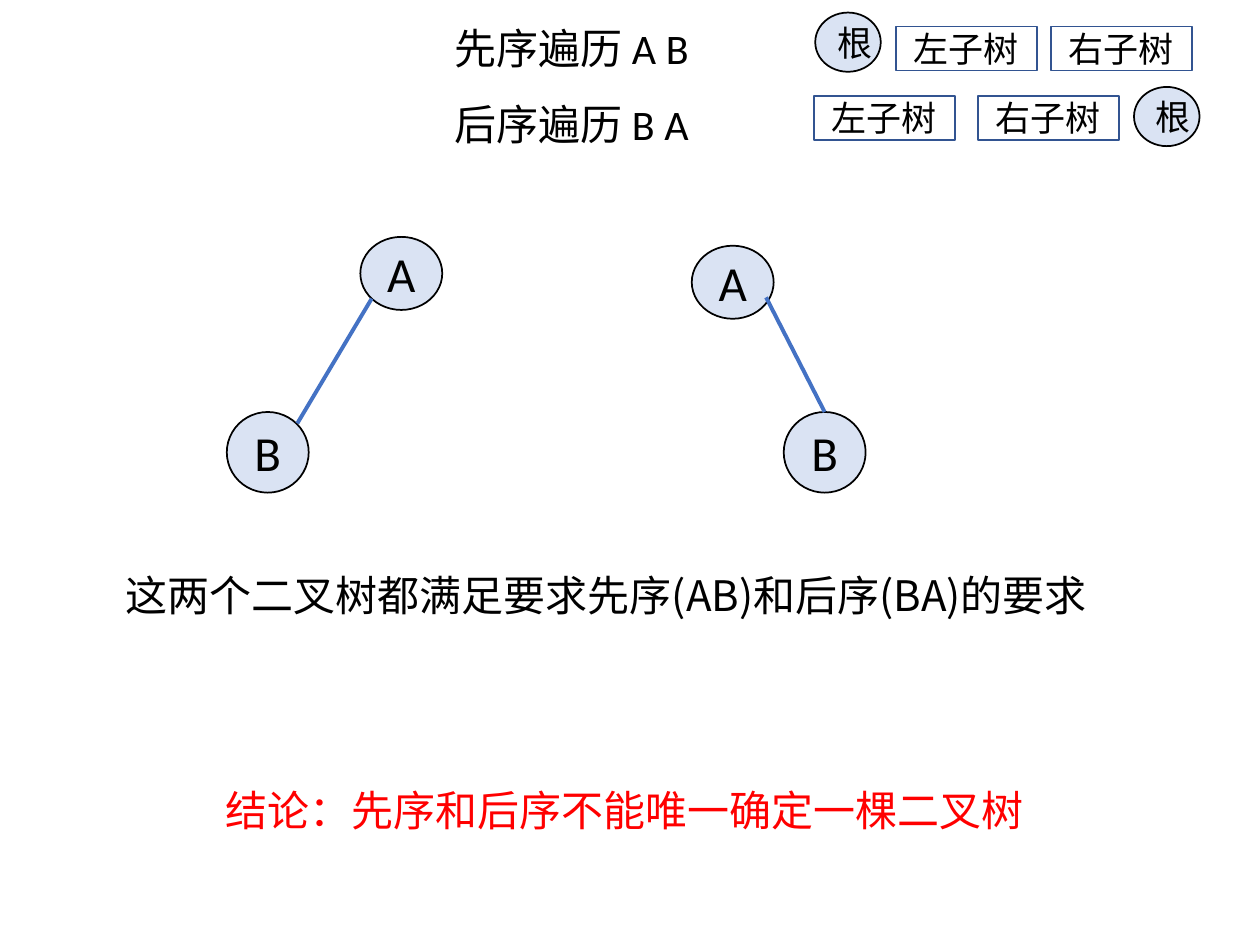
import pptx
import pptx.util
import pptx.dml.color
import pptx.enum.shapes
import pptx.enum.text
import pptx.oxml.ns
import lxml.etree

Inches = pptx.util.Inches
Pt = pptx.util.Pt
SHAPE = pptx.enum.shapes.MSO_SHAPE
HUES = {"node": "DAE3F3", "box": "FFFFFF", "ink": "000000",
        "frame": "325491", "edge": "4472C4", "alert": "FF0000"}
LATIN = "Calibri"
HAN = "Noto Sans CJK SC"


def color(name):
    return pptx.dml.color.RGBColor.from_string(HUES[name])


def add_run(para, text, size, face, hue="ink"):
    run = para.add_run()
    run.text = text
    run.font.size = Pt(size)
    run.font.color.rgb = color(hue)
    run.font.name = face
    east = lxml.etree.SubElement(run.font._element, pptx.oxml.ns.qn("a:ea"))
    east.set("typeface", HAN)


def add_label(slide, kind, left, top, width, height, text, size, fill, line):
    shape = slide.shapes.add_shape(
        kind, Inches(left), Inches(top), Inches(width), Inches(height))
    shape.shadow.inherit = False
    shape.fill.solid()
    shape.fill.fore_color.rgb = color(fill)
    shape.line.color.rgb = color(line)
    shape.line.width = Pt(1)
    frame = shape.text_frame
    frame.word_wrap = True
    frame.vertical_anchor = pptx.enum.text.MSO_ANCHOR.MIDDLE
    para = frame.paragraphs[0]
    para.alignment = pptx.enum.text.PP_ALIGN.CENTER
    add_run(para, text, size, LATIN)
    return shape


def add_node(slide, left, top, height, text):
    return add_label(slide, SHAPE.OVAL, left, top, 0.65, height,
                     text, 28, "node", "ink")


def add_root(slide, left, top):
    add_label(slide, SHAPE.OVAL, left, top, 0.52, 0.47,
              "根", 20, "node", "ink")


def add_box(slide, left, top, text):
    add_label(slide, SHAPE.RECTANGLE, left, top, 1.12, 0.35,
              text, 20, "box", "frame")


def add_edge(slide, x1, y1, x2, y2):
    edge = slide.shapes.add_connector(
        pptx.enum.shapes.MSO_CONNECTOR.STRAIGHT,
        Inches(x1), Inches(y1), Inches(x2), Inches(y2))
    edge.line.color.rgb = color("edge")
    edge.line.width = Pt(2.25)
    lxml.etree.SubElement(edge._element.spPr, pptx.oxml.ns.qn("a:effectLst"))
    return edge


def add_text(slide, left, top, width, height, lines, face, hue="ink"):
    box = slide.shapes.add_textbox(
        Inches(left), Inches(top), Inches(width), Inches(height))
    frame = box.text_frame
    frame.word_wrap = True
    frame.auto_size = pptx.enum.text.MSO_AUTO_SIZE.SHAPE_TO_FIT_TEXT
    for i, line in enumerate(lines):
        para = frame.add_paragraph() if i else frame.paragraphs[0]
        para.line_spacing = 1.5
        add_run(para, line, 24, face, hue)


def main():
    deck = pptx.Presentation()
    deck.slide_width = Inches(10)
    deck.slide_height = Inches(7.5)
    slide = deck.slides.add_slide(deck.slide_layouts[6])

    add_text(slide, 3.51, -0.07, 2.9, 1.25,
             ["先序遍历 A B", "后序遍历 B A"], LATIN)
    add_root(slide, 6.47, 0.1)
    add_root(slide, 9, 0.69)
    for top, lefts in ((0.21, (7.11, 8.34)), (0.76, (6.46, 7.76))):
        for left, text in zip(lefts, ("左子树", "右子树")):
            add_box(slide, left, top, text)

    add_node(slide, 2.86, 1.88, 0.58, "A")
    add_node(slide, 1.8, 3.27, 0.64, "B")
    add_edge(slide, 2.95, 2.37, 2.36, 3.36)

    add_node(slide, 5.49, 1.95, 0.58, "A")
    child = add_node(slide, 6.22, 3.27, 0.64, "B")
    edge = add_edge(slide, 6.08, 2.36, 6.55, 3.27)
    edge.end_connect(child, 0)

    add_text(slide, 0.9, 4.27, 7.98, 0.64,
             ["这两个二叉树都满足要求先序(AB)和后序(BA)的要求"], HAN)
    add_text(slide, 1.69, 5.98, 6.8, 0.65,
             ["结论：先序和后序不能唯一确定一棵二叉树"], HAN, "alert")
    deck.save("out.pptx")


if __name__ == "__main__":
    main()
